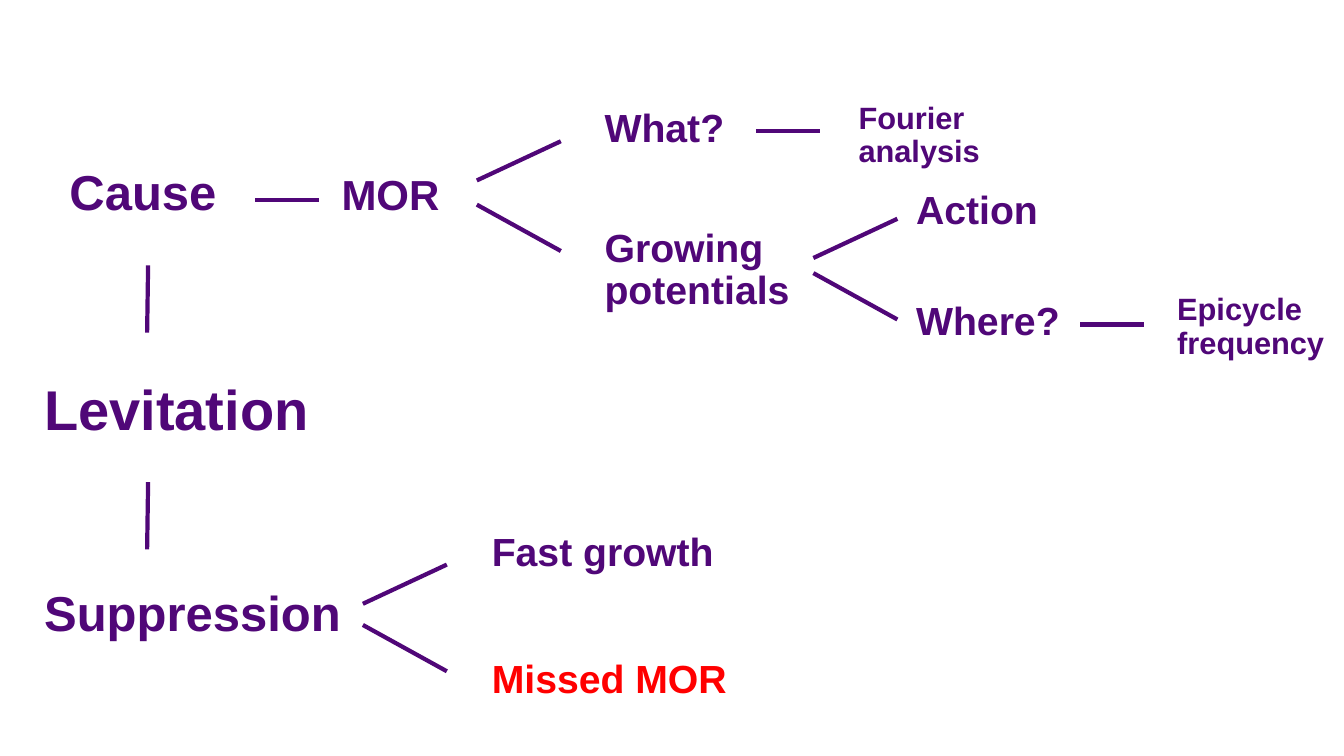
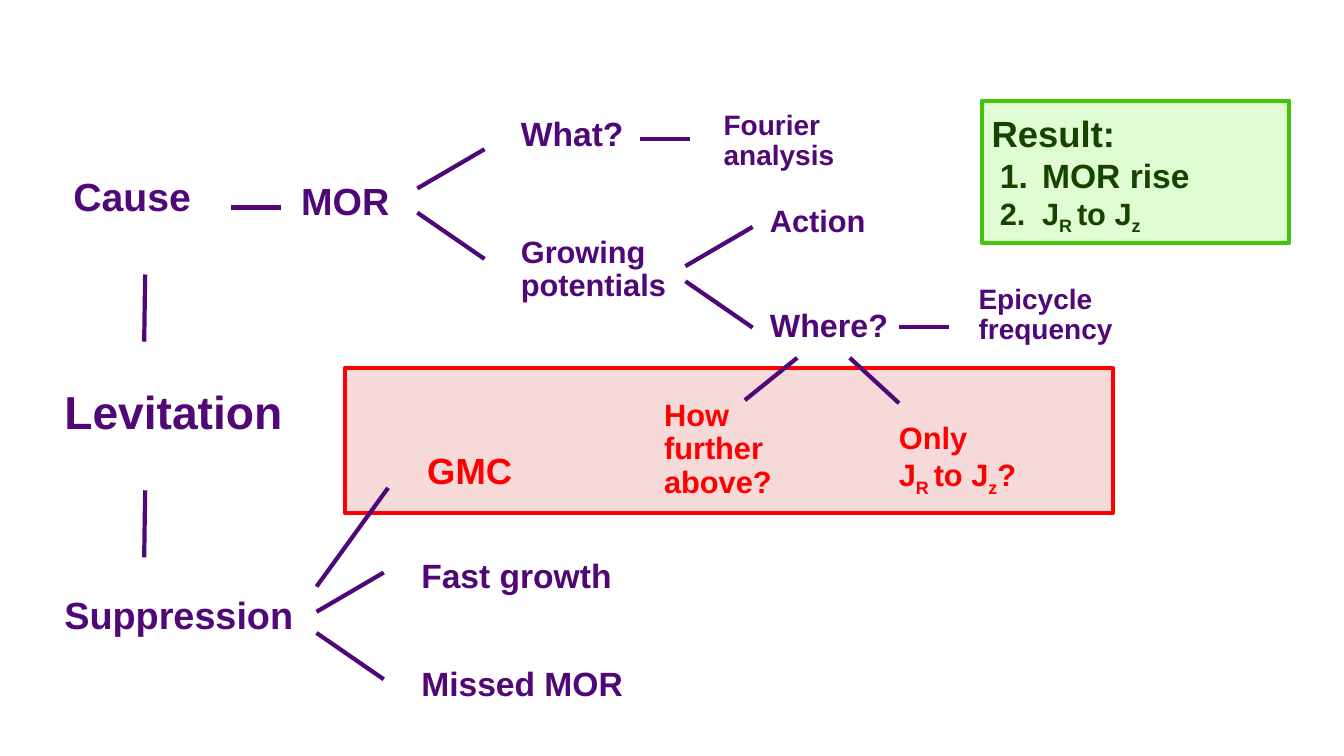
from lxml import etree
from pptx import Presentation
from pptx.dml.color import RGBColor
from pptx.enum.shapes import MSO_CONNECTOR, MSO_SHAPE
from pptx.enum.text import MSO_ANCHOR, PP_ALIGN
from pptx.oxml.ns import qn
from pptx.util import Pt

STRAIGHT = MSO_CONNECTOR.STRAIGHT
RECTANGLE = MSO_SHAPE.RECTANGLE
MIDDLE = MSO_ANCHOR.MIDDLE
LEFT = PP_ALIGN.LEFT
JUSTIFY = PP_ALIGN.JUSTIFY

PURPLE = RGBColor(0x50, 0x07, 0x78)
RED = RGBColor(0xFF, 0x00, 0x00)
PINK = RGBColor(0xF6, 0xDA, 0xDA)
GREEN = RGBColor(0x42, 0xC5, 0x09)
PALE_GREEN = RGBColor(0xDF, 0xFC, 0xD2)
DARK_GREEN = RGBColor(0x15, 0x44, 0x01)

FONT = "Arial"
INSET = Pt(7.2)
LINE_WIDTH = Pt(3)
LABEL_HEIGHT = 58.3
TALL_LABEL_HEIGHT = 92.2
FORK_RISE = 28
FORK_FALL = 33.1
STEM_LENGTH = 48
STEM_TILT = 0.7
ACTION_SPANS = ["J", "R ", "to J", "z"]


def write_text(frame, rows, colour, align=JUSTIFY, spacing=0.9):
    frame.word_wrap = True
    frame.margin_left = frame.margin_right = INSET
    frame.margin_top = frame.margin_bottom = INSET
    for number, (size, spans) in enumerate(rows):
        para = frame.add_paragraph() if number else frame.paragraphs[0]
        para.alignment = align
        para.line_spacing = spacing
        for position, words in enumerate(spans):
            span = para.add_run()
            span.text = words
            span.font.name = FONT
            span.font.size = Pt(size)
            span.font.bold = True
            span.font.color.rgb = colour
            if position % 2:
                span._r.get_or_add_rPr().set("baseline", "-25000")


def draw_line(page, start_x, start_y, end_x, end_y):
    line = page.shapes.add_connector(
        STRAIGHT, Pt(start_x), Pt(start_y), Pt(end_x), Pt(end_y))
    line.line.color.rgb = PURPLE
    line.line.width = LINE_WIDTH
    etree.SubElement(line._element.spPr, qn("a:effectLst"))


trees = [
    {
        "labels": [
            ("Levitation", 24.5, 265.7, 212.4, 40, PURPLE),
            ("MOR", 236.9, 117.4, 104.4, 30, PURPLE),
            ("Cause", 42.5, 113, 125.3, 35, PURPLE),
            ("Suppression", 24.5, 413.3, 260.6, 35, PURPLE),
            ("Growing potentials", 424.8, 156.2, 156.2, 28, PURPLE),
            ("Action", 647.3, 128.9, 115.2, 28, PURPLE),
            ("Where?", 647.3, 208.1, 135.4, 28, PURPLE),
            ("What?", 424.8, 70.6, 115.2, 28, PURPLE),
            ("Fourier analysis", 606.2, 66.2, 121, 22, PURPLE),
            ("Epicycle frequency", 833.8, 203, 121, 22, PURPLE),
            ("Fast growth", 344.2, 373, 203, 28, PURPLE),
            ("Missed MOR", 344.2, 463.7, 203, 28, RED),
        ],
        "dash_length": 45.4,
        "dashes": [(182.2, 142.6), (540, 93.6), (771.8, 231.8)],
        "fork_width": 60,
        "forks": [(340.6, 128.9, 17.3), (581, 184.3, 10.8), (259.2, 431.3, 15.1)],
        "stems": [(105.1, 237.6), (105.1, 392.4)],
    },
    {
        "labels": [
            ("Levitation", 38.9, 271.4, 177.8, 33, PURPLE),
            ("MOR", 208.1, 123.1, 82.8, 27, PURPLE),
            ("Cause", 45.4, 119.5, 108, 28, PURPLE),
            ("Suppression", 38.9, 419, 208.1, 27, PURPLE),
            ("Growing potentials", 365, 162, 124.6, 22, PURPLE),
            ("Action", 542.9, 139.7, 92.2, 22, PURPLE),
            ("Where?", 542.9, 213.8, 108, 23, PURPLE),
            ("What?", 365, 77, 92.2, 24, PURPLE),
            ("Fourier analysis", 509.8, 72, 96.5, 20, PURPLE),
            ("Epicycle frequency", 691.9, 196.6, 115.2, 20, PURPLE),
            ("Fast growth", 293.8, 392.4, 162, 24, PURPLE),
            ("Missed MOR", 293.8, 469.4, 162, 24, PURPLE),
        ],
        "dash_length": 36,
        "dashes": [(164.9, 148.3), (457.2, 99.4), (642.2, 233.3)],
        "fork_width": 48,
        "forks": [(298.1, 134.6, 17.3), (489.6, 190.1, 10.8), (226.1, 437, 15.1)],
        "stems": [(103, 244.1), (103, 398.2)],
    },
]

deck = Presentation()
deck.slide_width = Pt(960)
deck.slide_height = Pt(540)
blank_layout = deck.slide_layouts[6]

for tree in trees:
    page = deck.slides.add_slide(blank_layout)
    for words, left, top, width, size, colour in tree["labels"]:
        box = page.shapes.add_textbox(Pt(left), Pt(top), Pt(width), Pt(LABEL_HEIGHT))
        write_text(box.text_frame, [(size, [words])], colour)
    for x, y in tree["dashes"]:
        draw_line(page, x, y, x + tree["dash_length"], y)
    for x, y, gap in tree["forks"]:
        end_x = x + tree["fork_width"]
        draw_line(page, x, y, end_x, y - FORK_RISE)
        draw_line(page, x, y + gap, end_x, y + gap + FORK_FALL)
    for x, y in tree["stems"]:
        draw_line(page, x, y, x + STEM_TILT, y - STEM_LENGTH)

panels = []
for left, top, width, height, fill, outline in [
    (246.2, 262.8, 548.6, 103.7, PINK, RED),
    (701.3, 72, 219.6, 101.5, PALE_GREEN, GREEN),
]:
    panel = page.shapes.add_shape(
        RECTANGLE, Pt(left), Pt(top), Pt(width), Pt(height))
    panel.shadow.inherit = False
    panel.fill.solid()
    panel.fill.fore_color.rgb = fill
    panel.line.color.rgb = outline
    panel.line.width = LINE_WIDTH
    panels.append(panel)

for ends in [
    (226.1, 419, 277.2, 348.5),
    (569.5, 255.6, 532.1, 285.8),
    (607, 255.6, 642.2, 288),
]:
    draw_line(page, *ends)

for rows, left, top, width, height in [
    ([(26, ["GMC"])], 298.1, 316.1, 162, LABEL_HEIGHT),
    ([(22, ["How further above?"])], 467.3, 278.6, 100.8, TALL_LABEL_HEIGHT),
    ([(22, ["Only"]), (22, ACTION_SPANS + ["?"])], 635, 295.2, 115.2, TALL_LABEL_HEIGHT),
]:
    box = page.shapes.add_textbox(Pt(left), Pt(top), Pt(width), Pt(height))
    write_text(box.text_frame, rows, RED)

result = panels[1].text_frame
result.vertical_anchor = MIDDLE
result_rows = [(26, ["Result:"]), (24, ["MOR rise"]), (22, ACTION_SPANS)]
write_text(result, result_rows, DARK_GREEN, LEFT, 1.0)
result.paragraphs[2].line_spacing = 0.9
for para in result.paragraphs[1:]:
    properties = para._p.get_or_add_pPr()
    properties.set("marL", str(Pt(36)))
    properties.set("indent", str(Pt(-30.2)))
    etree.SubElement(properties, qn("a:buFont")).set("typeface", FONT)
    etree.SubElement(properties, qn("a:buAutoNum")).set("type", "arabicPeriod")

deck.save("out.pptx")
